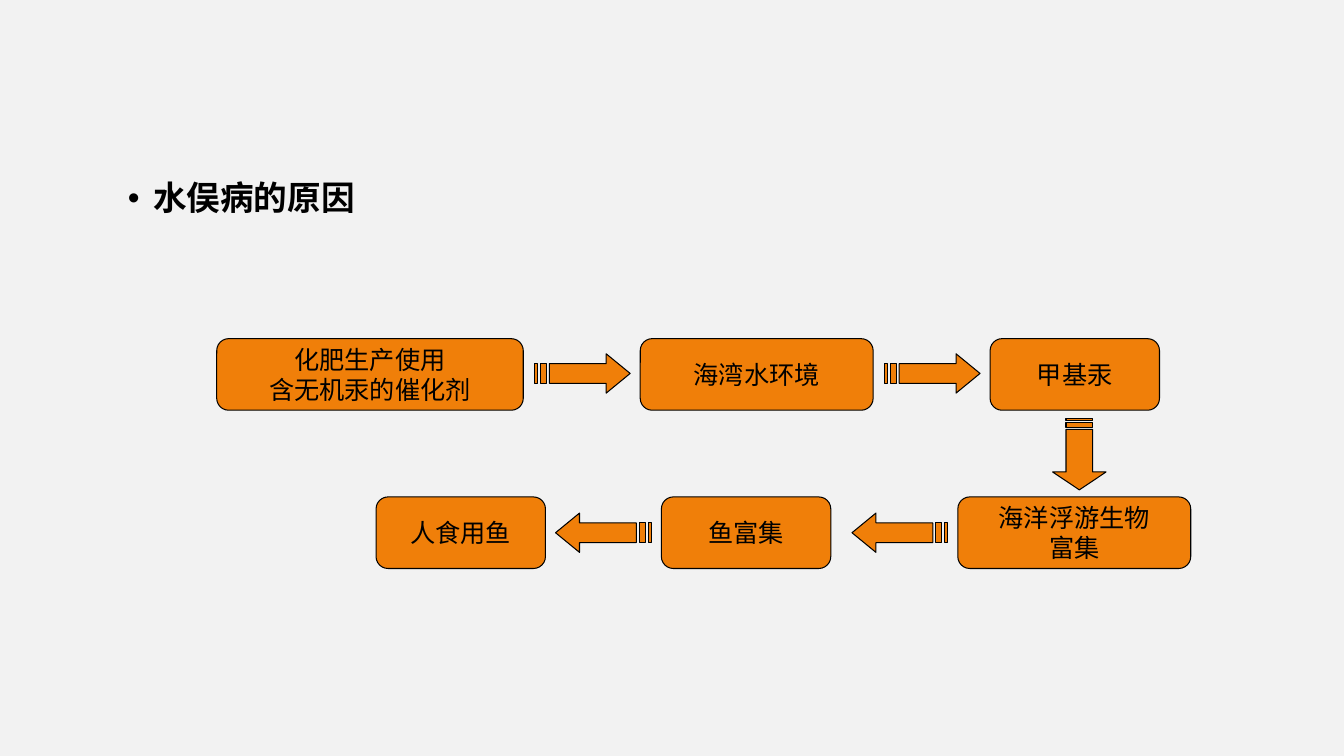
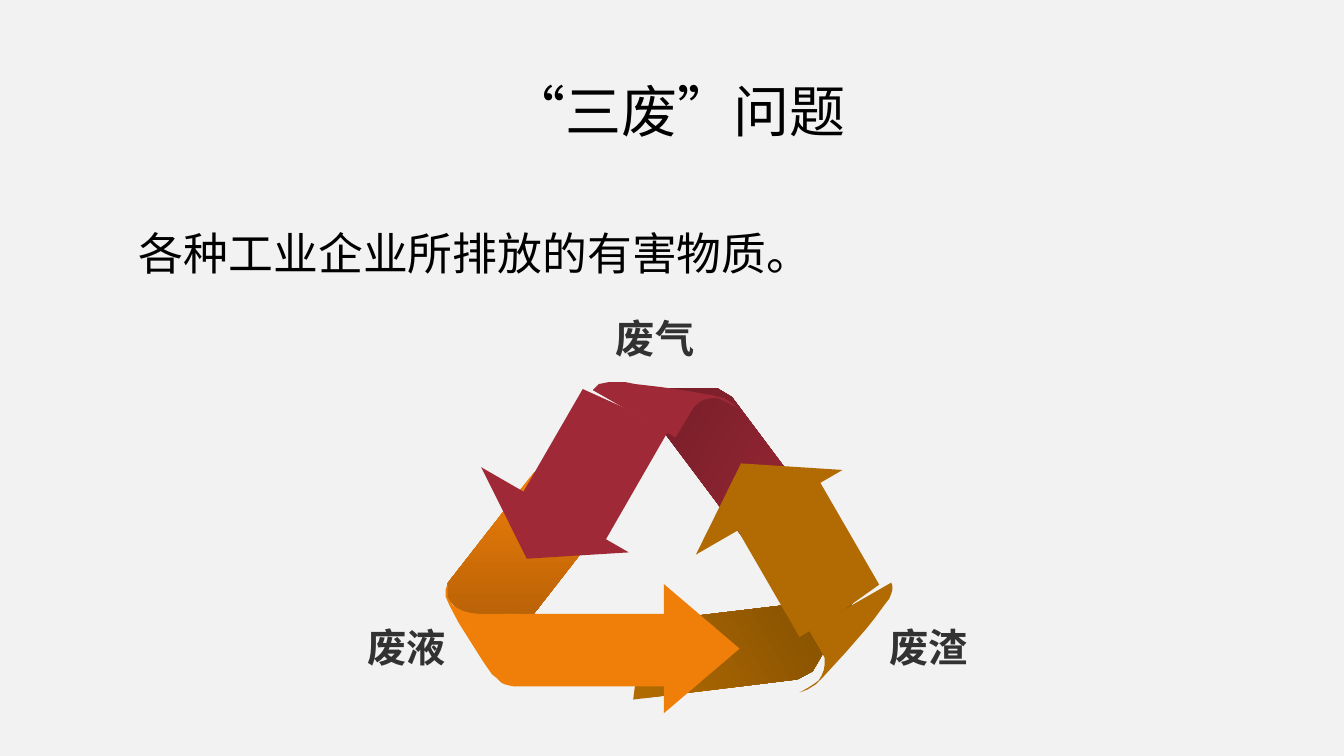
from dataclasses import dataclass

from lxml.etree import SubElement
from pptx import Presentation
from pptx.dml.color import RGBColor
from pptx.enum.shapes import MSO_SHAPE
from pptx.enum.text import MSO_ANCHOR, PP_ALIGN
from pptx.oxml.ns import qn
from pptx.shapes.base import BaseShape
from pptx.slide import Slide
from pptx.text.text import TextFrame, _Paragraph as Paragraph
from pptx.util import Inches, Pt

COLORS = {
    "background": "F2F2F2", "text": "000000", "label": "323232",
    "orange": "F07F09", "orange_dark": "AC5B06",
    "red": "9F2936", "red_dark": "721D27",
    "brown": "B26B02", "brown_dark": "7F4D01",
}
BODY_FONT = "Arial"
TITLE_FONT = "Montserrat"
QUOTE_FONT = "Noto Sans CJK SC"

Point = tuple[float, float]
Outline = list[Point]
Box = tuple[float, float, float, float]


@dataclass(frozen=True)
class Step:
    text: str
    left: float
    top: float
    width: float


@dataclass(frozen=True)
class RecycleArrow:
    color: str
    gradient_angle: float
    fold: Outline
    head: Box
    head_rotation: float
    body: Outline
    curl: Outline


@dataclass(frozen=True)
class Label:
    text: str
    left: float
    top: float
    alignment: PP_ALIGN = PP_ALIGN.LEFT


TOP_ROW, BOTTOM_ROW, STEP_HEIGHT = 3.36, 4.93, 0.71
STEPS = [
    Step("化肥生产使用\n含无机汞的催化剂", 2.15, TOP_ROW, 3.04),
    Step("海湾水环境", 6.35, TOP_ROW, 2.31),
    Step("甲基汞", 9.82, TOP_ROW, 1.68),
    Step("海洋浮游生物\n富集", 9.5, BOTTOM_ROW, 2.31),
    Step("鱼富集", 6.56, BOTTOM_ROW, 1.68),
    Step("人食用鱼", 3.73, BOTTOM_ROW, 1.68),
]
# Box before rotation, then rotation in degrees
STEP_ARROWS: list[tuple[Box, float]] = [
    ((5.3, 3.51, 0.95, 0.39), 0),
    ((8.77, 3.51, 0.95, 0.39), 0),
    ((10.35, 4.24, 0.71, 0.53), 90),
    ((8.45, 5.09, 0.95, 0.39), 180),
    ((5.51, 5.09, 0.95, 0.39), 180),
]

RECYCLE_ARROWS = [
    RecycleArrow(
        "red", 150,
        fold=[(7.53, 5.55), (6.26, 3.85), (7.11, 3.85), (7.26, 3.94), (8.25, 5.26)],
        head=(4.52, 5.02, 1.69, 0.56), head_rotation=210,
        body=[(5.93, 5.49), (6.62, 4.29), (6.2, 4.05), (5.78, 3.86), (5.11, 5.02)],
        curl=[(6.7, 4.34), (5.88, 3.87), (5.91, 3.84), (5.94, 3.81), (5.99, 3.8),
              (6.04, 3.79), (6.2, 3.79), (6.3, 3.81), (6.56, 3.84), (6.83, 3.88),
              (7.06, 3.92), (7.18, 3.95), (7.26, 4), (7.32, 4.05), (7.23, 4),
              (7.17, 3.97), (7.12, 3.95), (7.06, 3.95), (7, 3.96), (6.95, 3.98),
              (6.89, 4.03), (6.85, 4.09)],
    ),
    RecycleArrow(
        "brown", 30,
        fold=[(6.38, 6.17), (8.49, 5.92), (8.06, 6.66), (7.91, 6.74), (6.28, 6.94)],
        head=(6.65, 4.56, 1.68, 0.56), head_rotation=330,
        body=[(7.23, 5.11), (7.93, 6.32), (8.34, 6.07), (8.72, 5.8), (8.05, 4.64)],
        curl=[(8.02, 6.25), (8.84, 5.78), (8.85, 5.81), (8.85, 5.85), (8.84, 5.89),
              (8.82, 5.94), (8.78, 5.99), (8.67, 6.14), (8.59, 6.24), (8.39, 6.47),
              (8.17, 6.71), (8.09, 6.79), (8.01, 6.84), (7.93, 6.87), (8.02, 6.82),
              (8.08, 6.78), (8.12, 6.75), (8.15, 6.7), (8.17, 6.65), (8.18, 6.59),
              (8.18, 6.53), (8.15, 6.47)],
    ),
    RecycleArrow(
        "orange", 270,
        fold=[(6.12, 5.03), (4.99, 6.48), (4.43, 5.93), (4.43, 5.8), (5.3, 4.68)],
        head=(6.32, 6.06, 1.28, 0.75), head_rotation=90,
        body=[(6.9, 6.09), (5.03, 6.09), (5.03, 6.46), (5.1, 6.81), (6.9, 6.81)],
        curl=[(5.1, 6.09), (5.1, 6.81), (5.05, 6.8), (5.01, 6.79), (4.97, 6.77),
              (4.93, 6.73), (4.88, 6.69), (4.79, 6.56), (4.67, 6.37), (4.55, 6.18),
              (4.46, 6.01), (4.42, 5.92), (4.42, 5.85), (4.44, 5.79), (4.44, 5.92),
              (4.46, 5.96), (4.49, 6), (4.53, 6.03), (4.59, 6.06), (4.66, 6.08),
              (4.75, 6.09)],
    ),
]
LABELS = [
    Label("废液", 3.53, 6.13, PP_ALIGN.RIGHT),
    Label("废渣", 8.72, 6.13),
    Label("废气", 6.01, 3.07),
]


def rgb(name: str) -> RGBColor:
    return RGBColor.from_string(COLORS[name])


def add_slide(presentation: Presentation) -> Slide:
    slide = presentation.slides.add_slide(presentation.slide_layouts[6])
    slide.background.fill.solid()
    slide.background.fill.fore_color.rgb = rgb("background")
    return slide


def paint(shape: BaseShape, color: str, outlined: bool = False) -> None:
    shape.shadow.inherit = False
    shape.fill.solid()
    shape.fill.fore_color.rgb = rgb(color)
    if outlined:
        shape.line.color.rgb = rgb("text")
        shape.line.width = Pt(0.75)
    else:
        shape.line.fill.background()


def style(paragraph: Paragraph, size: float, color: str = "text",
          bold: bool = False, name: str = BODY_FONT) -> None:
    font = paragraph.font
    font.name, font.size, font.bold = name, Pt(size), bold
    font.color.rgb = rgb(color)


def add_text_frame(slide: Slide, box: Box, wrap: bool = True) -> TextFrame:
    frame = slide.shapes.add_textbox(*map(Inches, box)).text_frame
    frame.word_wrap = wrap
    return frame


def add_title(slide: Slide, runs: list[tuple[str, str]]) -> None:
    """Add a centred title from (text, font name) pairs."""
    frame = add_text_frame(slide, (2.33, 0.68, 8.78, 0.91))
    frame.vertical_anchor = MSO_ANCHOR.MIDDLE
    paragraph = frame.paragraphs[0]
    paragraph.alignment = PP_ALIGN.CENTER
    paragraph.line_spacing = 0.9
    style(paragraph, 40, name=TITLE_FONT)
    for text, font_name in runs:
        run = paragraph.add_run()
        run.text = text
        run.font.name = font_name


def add_body(slide: Slide, box: Box, text: str, size: float, margin: float,
             hanging: float = 0, bold: bool = False) -> None:
    """Add an indented line; a hanging indent brings a bullet."""
    paragraph = add_text_frame(slide, box).paragraphs[0]
    paragraph.text = text
    paragraph.line_spacing = 0.9
    properties = paragraph._p.get_or_add_pPr()
    properties.set("marL", str(Inches(margin)))
    properties.set("indent", str(-Inches(hanging)))
    if hanging:
        SubElement(properties, qn("a:buFont")).set("typeface", BODY_FONT)
        SubElement(properties, qn("a:buChar")).set("char", "•")
    style(paragraph, size, bold=bold)


def add_outlines(slide: Slide, outlines: list[Outline]) -> BaseShape:
    """Build one freeform from closed outlines given in inches."""
    contours = [[(Inches(x), Inches(y)) for x, y in outline] for outline in outlines]
    builder = slide.shapes.build_freeform(*contours[0][0])
    builder.add_line_segments(contours[0][1:], close=True)
    for contour in contours[1:]:
        builder.move_to(*contour[0])
        builder.add_line_segments(contour[1:], close=True)
    return builder.convert_to_shape()


def add_striped_arrow(slide: Slide, box: Box, rotation: float) -> None:
    left, top, width, height = box
    arrow = [(0.75, 0), (0.75, 0.25), (5 / 32, 0.25), (5 / 32, 0.75),
             (0.75, 0.75), (0.75, 1), (1, 0.5)]
    stripes = [[(start, 0.25), (start, 0.75), (end, 0.75), (end, 0.25)]
               for start, end in ((1 / 16, 1 / 8), (0, 1 / 32))]
    shape = add_outlines(slide, [
        [(left + x * width, top + y * height) for x, y in outline]
        for outline in [arrow, *stripes]
    ])
    paint(shape, "orange", outlined=True)
    shape.rotation = rotation


def add_step(slide: Slide, step: Step) -> None:
    shape = slide.shapes.add_shape(
        MSO_SHAPE.ROUNDED_RECTANGLE, Inches(step.left), Inches(step.top),
        Inches(step.width), Inches(STEP_HEIGHT))
    paint(shape, "orange", outlined=True)
    frame = shape.text_frame
    frame.text = step.text
    frame.word_wrap = False
    frame.vertical_anchor = MSO_ANCHOR.MIDDLE
    for paragraph in frame.paragraphs:
        paragraph.alignment = PP_ALIGN.CENTER
        style(paragraph, 18)


def add_fold(slide: Slide, arrow: RecycleArrow) -> None:
    """Draw the shaded back of a recycling arrow."""
    shape = add_outlines(slide, [arrow.fold])
    paint(shape, arrow.color)
    shape.fill.gradient()
    shape.fill.gradient_angle = arrow.gradient_angle
    for stop, position, color in zip(shape.fill.gradient_stops, (0, 1),
                                     (arrow.color, f"{arrow.color}_dark")):
        stop.position = position
        stop.color.rgb = rgb(color)


def add_front(slide: Slide, arrow: RecycleArrow) -> None:
    """Draw the flat head, body and curl of a recycling arrow."""
    head = slide.shapes.add_shape(MSO_SHAPE.ISOSCELES_TRIANGLE, *map(Inches, arrow.head))
    head.rotation = arrow.head_rotation
    parts = [head, *(add_outlines(slide, [part]) for part in (arrow.body, arrow.curl))]
    for part in parts:
        paint(part, arrow.color)


def add_label(slide: Slide, label: Label) -> None:
    frame = add_text_frame(slide, (label.left, label.top, 0.99, 0.57), wrap=False)
    paragraph = frame.paragraphs[0]
    paragraph.text = label.text
    paragraph.alignment = label.alignment
    style(paragraph, 28, "label", bold=True)


def build_cause_slide(presentation: Presentation) -> None:
    slide = add_slide(presentation)
    add_body(slide, (0.67, 1.75, 12, 0.5), "水俣病的原因", 24, 0.75, 0.25, bold=True)
    for step in STEPS:
        add_step(slide, step)
    for box, rotation in STEP_ARROWS:
        add_striped_arrow(slide, box, rotation)


def build_waste_slide(presentation: Presentation) -> None:
    slide = add_slide(presentation)
    add_title(slide, [("“", QUOTE_FONT), ("三废", TITLE_FONT),
                      ("”", QUOTE_FONT), ("问题", TITLE_FONT)])
    add_body(slide, (1, 2.25, 11.75, 0.71), "各种工业企业所排放的有害物质。", 32, 0.28)
    for arrow in RECYCLE_ARROWS:
        add_fold(slide, arrow)
    for arrow in RECYCLE_ARROWS:
        add_front(slide, arrow)
    for label in LABELS:
        add_label(slide, label)


def main() -> None:
    presentation = Presentation()
    presentation.slide_width = Inches(13.33)
    presentation.slide_height = Inches(7.5)
    build_cause_slide(presentation)
    build_waste_slide(presentation)
    presentation.save("out.pptx")


if __name__ == "__main__":
    main()
